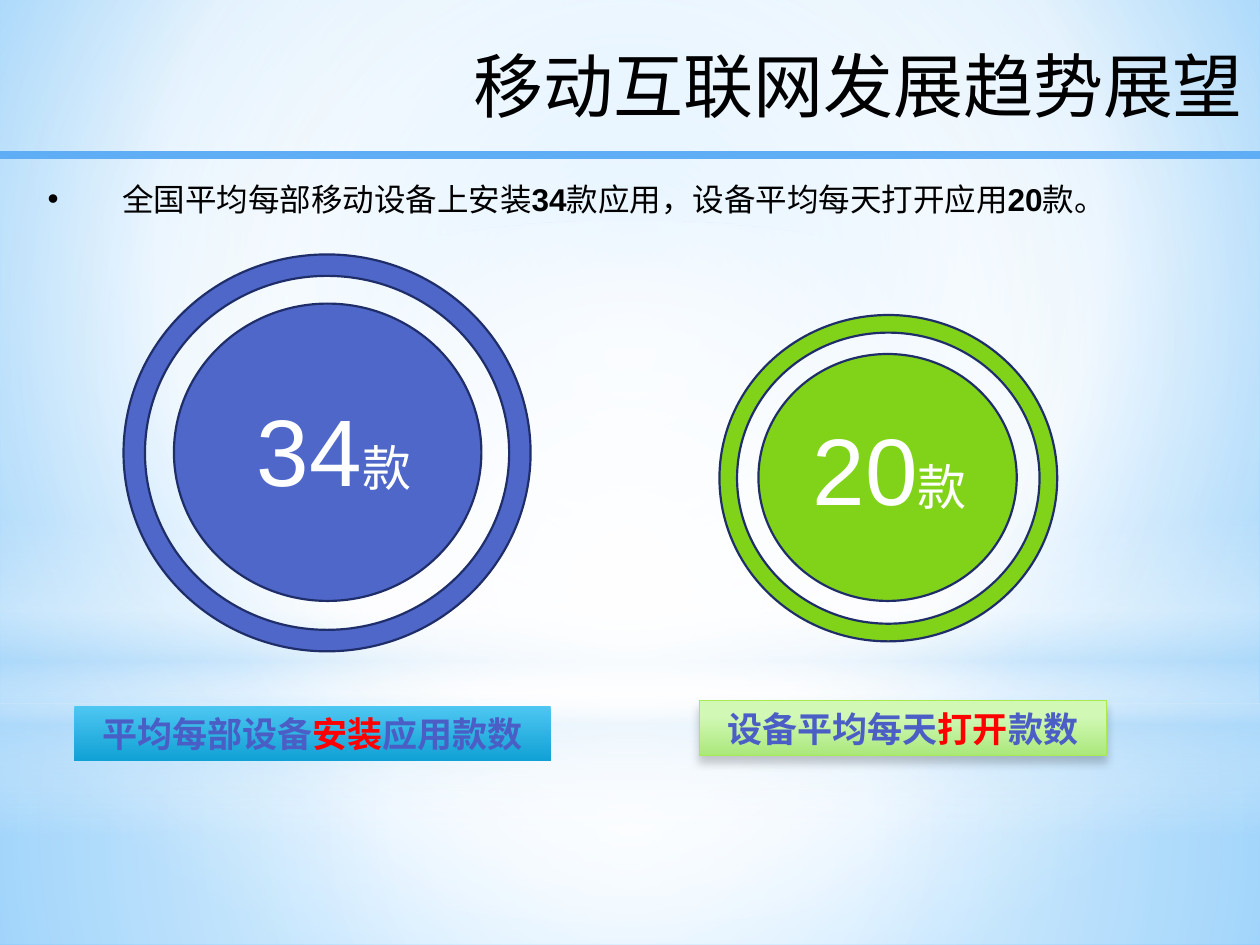
"""Build the mobile internet trends slide."""
from lxml.etree import SubElement
from pptx import Presentation
from pptx.dml.color import RGBColor
from pptx.enum.shapes import MSO_CONNECTOR, MSO_SHAPE
from pptx.enum.text import MSO_ANCHOR, MSO_AUTO_SIZE, PP_ALIGN
from pptx.oxml import parse_xml
from pptx.oxml.ns import nsdecls, qn
from pptx.util import Pt

BLACK = RGBColor(0x00, 0x00, 0x00)
WHITE = RGBColor(0xFF, 0xFF, 0xFF)
RED = RGBColor(0xFF, 0x00, 0x00)
BLUE = RGBColor(0x4E, 0x67, 0xC8)
GREEN = RGBColor(0x81, 0xD3, 0x1A)
NAVY = RGBColor(0x1F, 0x2E, 0x69)
RULE_BLUE = RGBColor(0x5F, 0xAD, 0xF5)
LABEL_BLUE = RGBColor(0x4A, 0x5E, 0xC6)
LABEL_EDGE = RGBColor(0xA7, 0xEA, 0x52)
SKY = RGBColor(0xB4, 0xDC, 0xFA)


def set_gradient(owner, stops, focus=None):
    owner.fill.solid()
    gs = "".join(
        f'<a:gs pos="{pos * 1000}"><a:srgbClr val="{color}">'
        f'<a:alpha val="{alpha * 1000}"/></a:srgbClr></a:gs>'
        for pos, color, alpha in stops)
    if focus:
        l, t, r, b = (v * 1000 for v in focus)
        way = (f'<a:path path="circle"><a:fillToRect l="{l}" t="{t}" '
               f'r="{r}" b="{b}"/></a:path>')
    else:
        way = '<a:lin ang="5400000" scaled="0"/>'
    root = s.element if owner is s.background else owner.element
    old = root.find(".//" + qn("a:solidFill"))
    old.getparent().replace(old, parse_xml(
        f'<a:gradFill {nsdecls("a")} rotWithShape="1"><a:gsLst>{gs}</a:gsLst>{way}</a:gradFill>'))


def add_runs(p, runs, size, font):
    for text, color, bold in runs:
        r = p.add_run()
        r.text = text
        r.font.size = Pt(size)
        r.font.name = font
        r.font.bold = bold
        r.font.color.rgb = color


prs = Presentation()
prs.slide_width, prs.slide_height = Pt(720), Pt(540)
s = prs.slides.add_slide(prs.slide_layouts[5])
set_gradient(s.background, [(0, "9ED5FF", 100), (60, WHITE, 100), (100, "5BB9FF", 100)],
             (20, 10, 20, 60))

CENTER = (50, 50, 50, 50)
backdrop = [
    (MSO_SHAPE.RECTANGLE, 401.8, 138.2, [(0, WHITE, 91), (37, WHITE, 76), (100, SKY, 79)], CENTER),
    (MSO_SHAPE.RECTANGLE, 0, 401.8, [(0, WHITE, 89), (48, WHITE, 62), (100, SKY, 79)], CENTER),
    (MSO_SHAPE.RECTANGLE, 296.6, 180, [(0, WHITE, 0), (29, WHITE, 30), (45, SKY, 40),
                                       (55, WHITE, 26), (65, SKY, 60), (100, WHITE, 0)], None),
    (MSO_SHAPE.OVAL, 126, 401.8, [(0, WHITE, 100), (56, WHITE, 0)], CENTER),
]
for kind, top, height, stops, focus in backdrop:
    sp = s.shapes.add_shape(kind, 0, Pt(top), Pt(720), Pt(height))
    sp.shadow.inherit = False
    set_gradient(sp, stops, focus)
    sp.line.fill.background()

rule = s.shapes.add_connector(MSO_CONNECTOR.STRAIGHT, Pt(-3), Pt(88.6), Pt(724), Pt(88.6))
rule.line.color.rgb = RULE_BLUE
rule.line.width = Pt(4.5)
SubElement(rule.element.spPr, qn("a:effectLst"))

title = s.shapes.title
title.left, title.top, title.width, title.height = Pt(263.5), Pt(20.9), Pt(462.2), Pt(90.7)
tf = title.text_frame
tf.auto_size = MSO_AUTO_SIZE.NONE
tf.vertical_anchor = MSO_ANCHOR.TOP
p = tf.paragraphs[0]
p.alignment = PP_ALIGN.LEFT
add_runs(p, [("移动互联网发展趋势展望", BLACK, False)], 40, "Karla")
rule.element.addnext(title.element)

summary = s.shapes.add_textbox(Pt(20.2), Pt(88.6), Pt(652.3), Pt(36))
tf = summary.text_frame
tf.word_wrap = True
tf.auto_size = MSO_AUTO_SIZE.SHAPE_TO_FIT_TEXT
p = tf.paragraphs[0]
p.line_spacing = 1.5
p.space_after = Pt(6)
add_runs(p, [("全国平均每部移动设备上安装", BLACK, False), ("34", BLACK, True),
             ("款应用，设备平均每天打开应用", BLACK, False), ("20", BLACK, True),
             ("款。", BLACK, False)], 18, "Arial")
pPr = p._p.get_or_add_pPr()
pPr.set("marL", str(Pt(42.5)))
pPr.set("indent", str(Pt(-42.5)))
SubElement(pPr, qn("a:buFont")).set("typeface", "Arial")
SubElement(pPr, qn("a:buChar")).set("char", "•")

badges = [
    ("34", BLUE, (99.4, 173.5, 175.7, 169.9), (70.6, 145.4, 232.6, 226.8), (139, 220.3)),
    ("20", GREEN, (433.4, 202.3, 147.6, 141.1), (411.1, 180, 193, 186.5), (456.5, 231.1)),
]
for number, color, disc, ring, corner in badges:
    for kind, box in ((MSO_SHAPE.OVAL, disc), (MSO_SHAPE.DONUT, ring)):
        sp = s.shapes.add_shape(kind, *map(Pt, box))
        sp.shadow.inherit = False
        sp.fill.solid()
        sp.fill.fore_color.rgb = color
        sp.line.color.rgb = NAVY
        sp.line.width = Pt(1.25)
    sp.adjustments[0] = 0.054
    tb = s.shapes.add_textbox(*map(Pt, corner), Pt(103.7), Pt(72.7))
    tf = tb.text_frame
    tf.word_wrap = True
    tf.auto_size = MSO_AUTO_SIZE.SHAPE_TO_FIT_TEXT
    p = tf.paragraphs[0]
    p.alignment = PP_ALIGN.CENTER
    add_runs(p, [(number, WHITE, False)], 54, "Arial")
    add_runs(p, [("款", WHITE, False)], 28, "Arial")

labels = [
    ((42.5, 403.2, 272.2, 31.5), [(0, "4EC7F2", 100), (100, "11A1D4", 100)], None,
     ("平均每部设备", "安装", "应用款数")),
    ((399.6, 400.3, 232.6, 31.5), [(28, "D1F8B5", 100), (100, "AAE87B", 100)], LABEL_EDGE,
     ("设备平均每天", "打开", "款数")),
]
for box, stops, edge, words in labels:
    sp = s.shapes.add_shape(MSO_SHAPE.RECTANGLE, *map(Pt, box))
    sp.shadow.inherit = False
    set_gradient(sp, stops)
    if edge:
        sp.line.color.rgb = edge
        sp.line.width = Pt(0.75)
        effects = sp.element.spPr.find(qn("a:effectLst"))
        effects.append(parse_xml(
            f'<a:outerShdw {nsdecls("a")} blurRad="{Pt(5)}" dist="{Pt(4)}" dir="5400000" '
            'rotWithShape="0"><a:srgbClr val="000000"><a:alpha val="20000"/>'
            '</a:srgbClr></a:outerShdw>'))
    else:
        sp.line.fill.background()
    tf = sp.text_frame
    tf.word_wrap = True
    tf.auto_size = MSO_AUTO_SIZE.SHAPE_TO_FIT_TEXT
    p = tf.paragraphs[0]
    p.alignment = PP_ALIGN.CENTER
    add_runs(p, [(w, c, True) for w, c in zip(words, (LABEL_BLUE, RED, LABEL_BLUE))], 20, "Karla")

prs.save("out.pptx")
